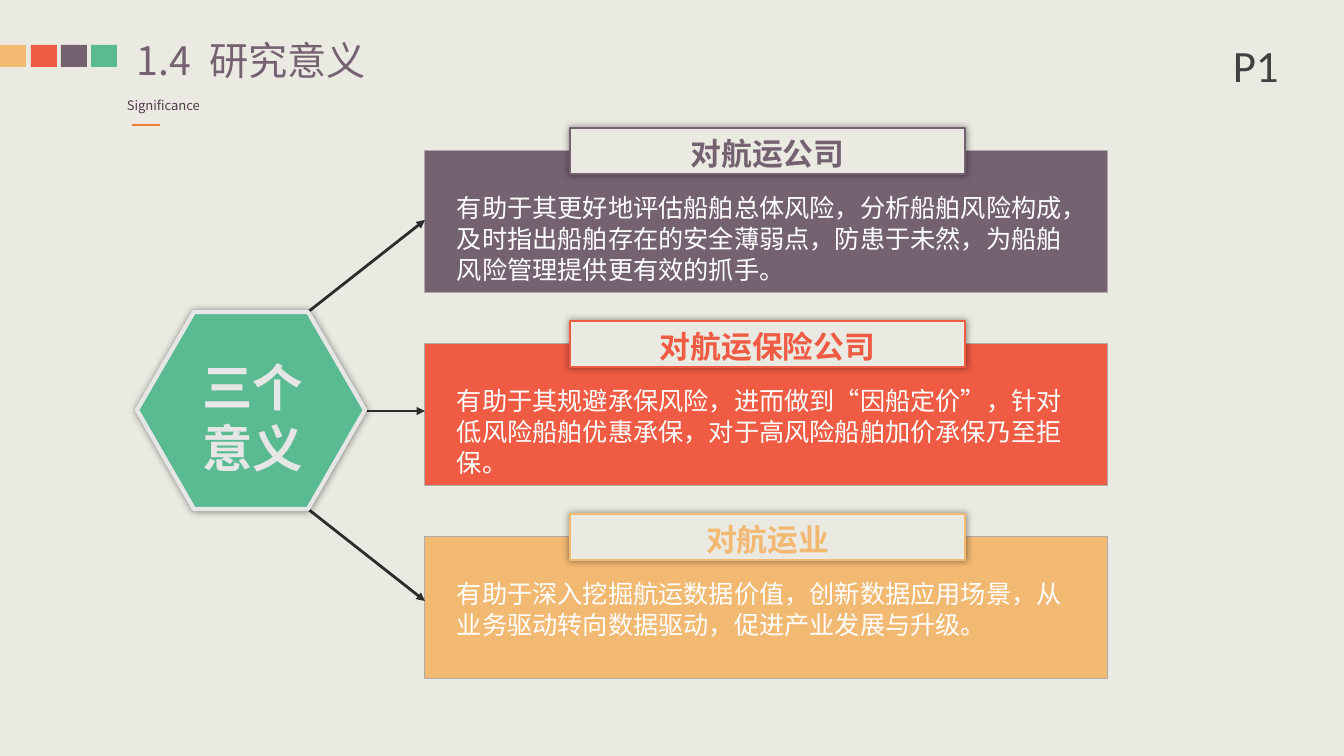
from lxml import etree
from pptx import Presentation
from pptx import util as u
from pptx.dml.color import RGBColor
from pptx.enum import shapes, text
from pptx.oxml import parse_xml
from pptx.oxml.ns import nsdecls, qn

PX = 9071  # EMU in one px
FONT = "Noto Sans CJK SC"
PAPER, PLUM, RED, GOLD, GREEN = "EBEAE2", "756271", "EF5B43", "F2B973", "5ABB93"
WHITE, SILVER, INK = "FFFFFF", "E7E6E6", "2E2C2C"
RECT = shapes.MSO_SHAPE.RECTANGLE
SOFT_SHADOW = (
    f'<a:effectLst {nsdecls("a")}><a:outerShdw blurRad="63500" dist="0" dir="0" '
    'algn="ctr" rotWithShape="0"><a:srgbClr val="000000"><a:alpha val="40000"/>'
    "</a:srgbClr></a:outerShdw></a:effectLst>"
)


def paint(shape, fill, line=None, width=0, glow=False):
    """Set fill and outline; glow swaps the theme shadow for a soft one."""
    shape.shadow.inherit = False
    shape.fill.solid()
    shape.fill.fore_color.rgb = RGBColor.from_string(fill)
    if line:
        shape.line.color.rgb = RGBColor.from_string(line)
        shape.line.width = u.Pt(width)
    else:
        shape.line.fill.background()
    if glow:
        properties = shape._element.spPr
        properties.replace(properties.find(qn("a:effectLst")), parse_xml(SOFT_SHADOW))


def add_text(place, spans, size, colour, bold=False, center=False, wrap=True, font=FONT):
    """Add a one-paragraph text box and return it."""
    box = page.shapes.add_textbox(*(PX * n for n in place))
    box.text_frame.word_wrap = wrap
    para = box.text_frame.paragraphs[0]
    para.line_spacing = u.Pt(round(size * 1.22, 1))
    if center:
        para.alignment = text.PP_ALIGN.CENTER
    for words in spans:
        span = para.add_run()
        span.text = words
        span.font.size = u.Pt(size)
        span.font.bold = bold
        span.font.name = font
        span.font.color.rgb = RGBColor.from_string(colour)
        east_asian = etree.SubElement(span._r.get_or_add_rPr(), qn("a:ea"))
        east_asian.set("typeface", font)
    return box


deck = Presentation()
deck.slide_width, deck.slide_height = 1344 * PX, 756 * PX
page = deck.slides.add_slide(deck.slide_layouts[6])
page.background.fill.solid()
page.background.fill.fore_color.rgb = RGBColor.from_string(PAPER)

# Header
for left, colour in zip((0, 31, 61, 91), (GOLD, RED, PLUM, GREEN)):
    square = page.shapes.add_shape(RECT, left * PX, 45 * PX, 26 * PX, 22 * PX)
    paint(square, colour)

title = add_text((137, 35, 402, 47), ("1.4", " ", "研究意义"), 28, PLUM)
frame = title.text_frame
frame.margin_left = frame.margin_right = frame.margin_top = frame.margin_bottom = 0
frame.paragraphs[0].runs[1]._r.get_or_add_rPr().set("spc", "650")  # wider gap
add_text((117, 92, 96, 26), ("Significance",), 9.3, "543C4F", wrap=False)
add_text((1223, 32, 70, 64), ("P1",), 32, "404040", font="Calibri")

# Panels with captions
panels = (
    (PLUM, "对航运公司",
     "有助于其更好地评估船舶总体风险，分析船舶风险构成，及时指出船舶存在的安全薄弱点，防患于未然，为船舶风险管理提供更有效的抓手。"),
    (RED, "对航运保险公司",
     "有助于其规避承保风险，进而做到“因船定价”，针对低风险船舶优惠承保，对于高风险船舶加价承保乃至拒保。"),
    (GOLD, "对航运业",
     "有助于深入挖掘航运数据价值，创新数据应用场景，从业务驱动转向数据驱动，促进产业发展与升级。"),
)
for row, (colour, heading, body) in enumerate(panels):
    top = 151 + 193 * row
    panel = page.shapes.add_shape(RECT, 425 * PX, top * PX, 683 * PX, 142 * PX)
    paint(panel, colour, "AFABAB")
    add_text((447, top + 36, 635, 102), (body,), 18, WHITE)
    caption = page.shapes.add_shape(RECT, 570 * PX, (top - 23) * PX, 395 * PX, 46 * PX)
    paint(caption, PAPER, colour, 1.5, glow=True)
    add_text((596, top - 22, 343, 47), (heading,), 22, colour, bold=True, center=True)

# Heading rule and arrows
lines = (
    (132, 125, 160, 125, "ED7D31", 1.5, False),
    (308, 312, 425, 220, INK, 0, True),
    (365, 411, 425, 411, INK, 0, True),
    (308, 509, 425, 601, INK, 0, True),
)
for *ends, colour, width, arrow in lines:
    line = page.shapes.add_connector(
        shapes.MSO_CONNECTOR.STRAIGHT, *(PX * n for n in ends))
    line.line.color.rgb = RGBColor.from_string(colour)
    line.line.width = u.Pt(width)
    if arrow:
        etree.SubElement(line.line._get_or_add_ln(), qn("a:tailEnd")).set("type", "triangle")
    etree.SubElement(line._element.spPr, qn("a:effectLst"))

# Hexagon
outline = page.shapes.build_freeform(308, 312, scale=PX)
outline.add_line_segments(
    ((365, 410), (308, 509), (194, 509), (137, 410), (194, 312)), close=True)
paint(outline.convert_to_shape(), GREEN, SILVER, 3, glow=True)
add_text((170, 350, 165, 132), ("三个意义",), 36, SILVER, bold=True, center=True)

deck.save("out.pptx")
